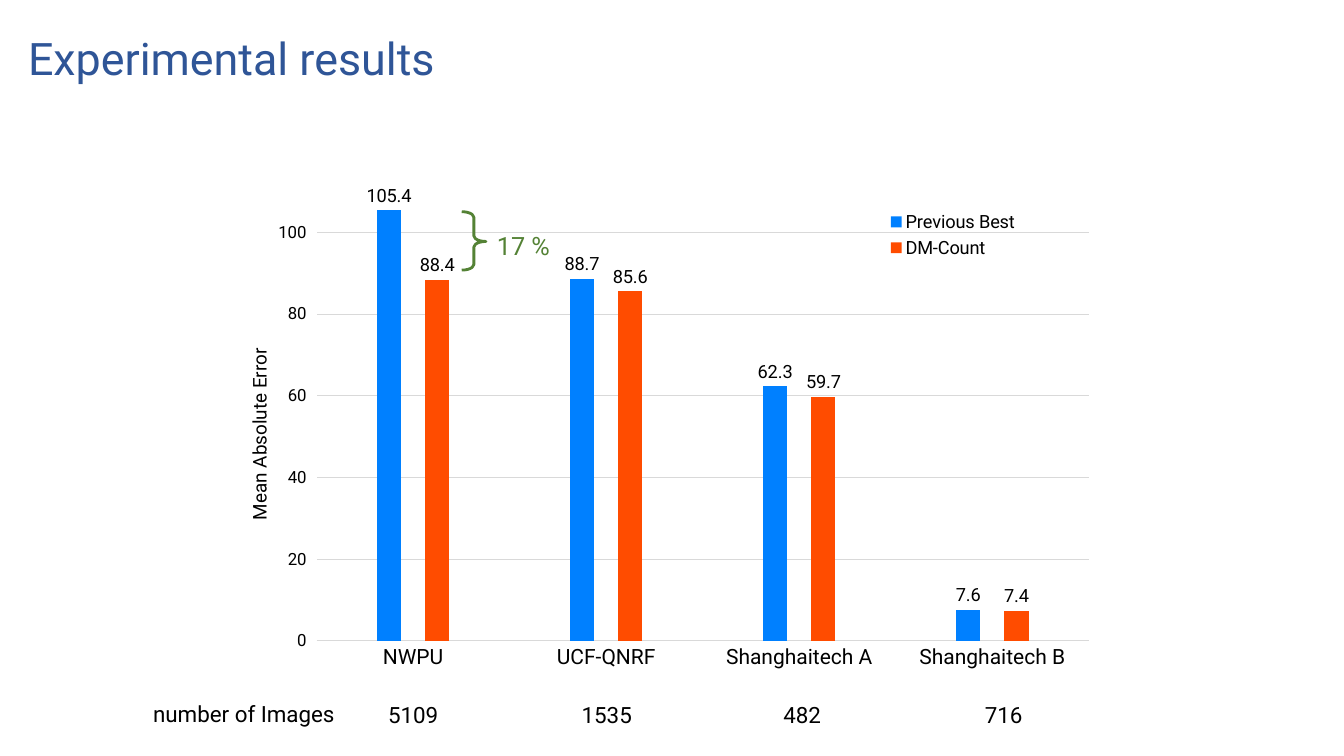
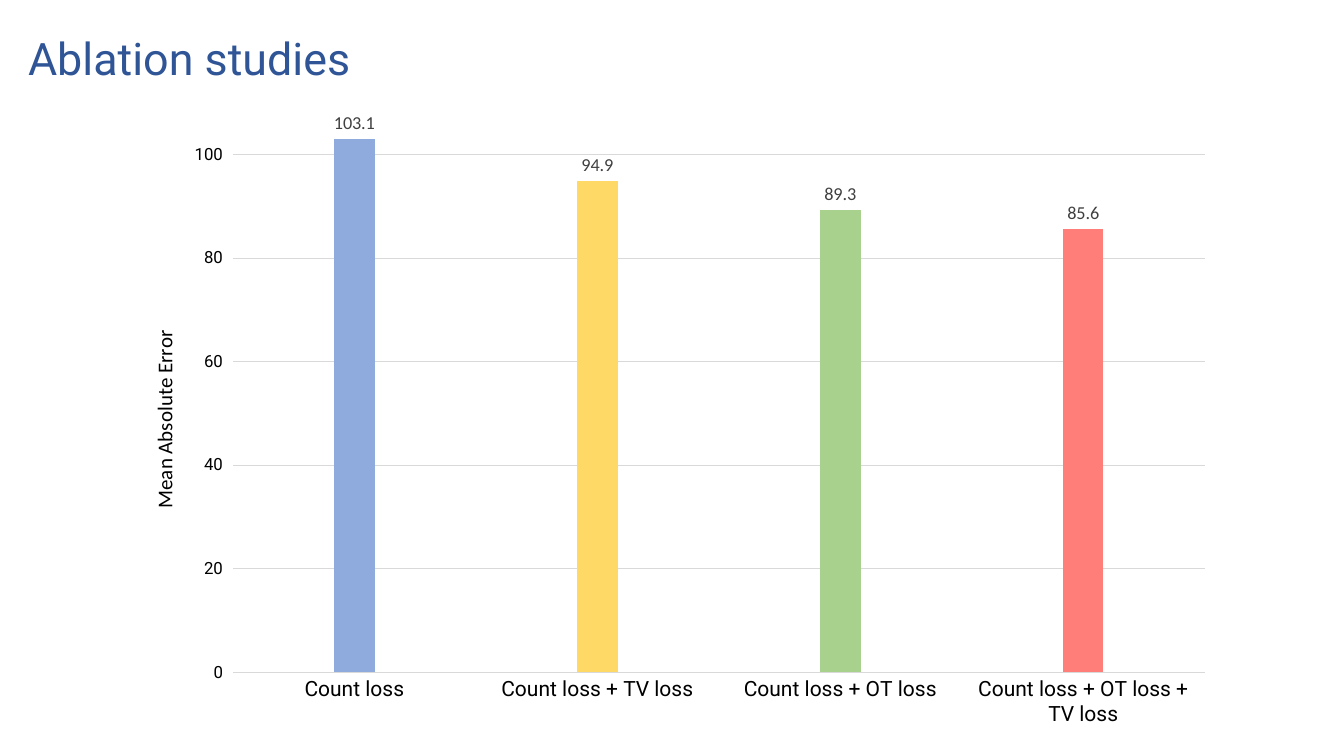
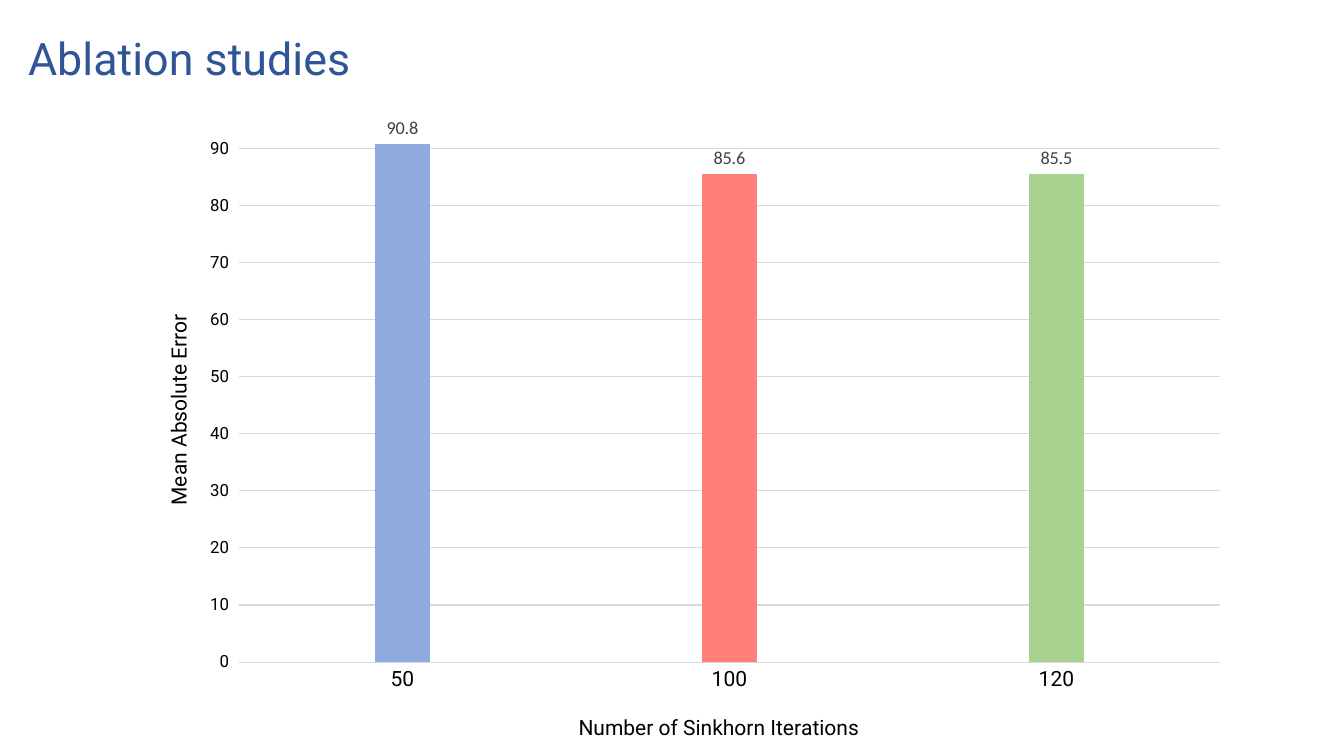
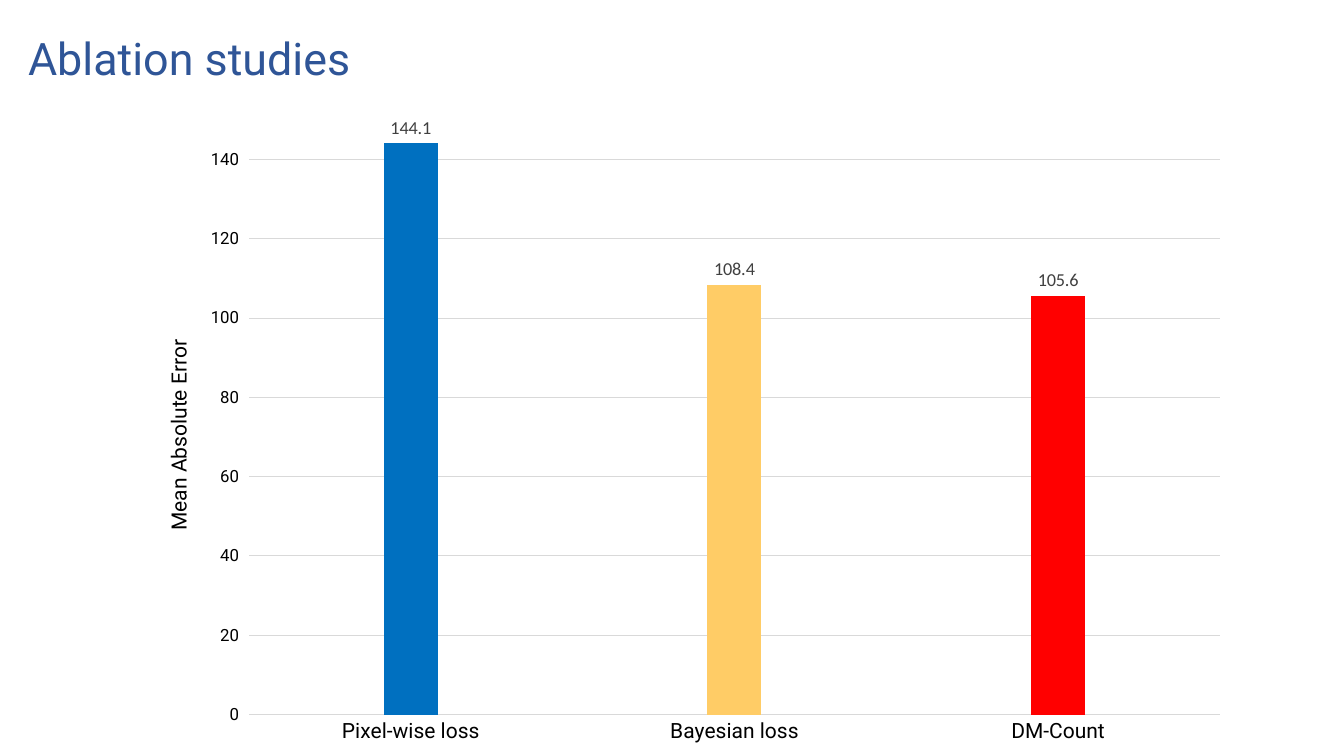
from lxml import etree
from pptx import Presentation
from pptx.chart.data import CategoryChartData
from pptx.dml.color import RGBColor
from pptx.enum import chart as ch, shapes, text
from pptx.oxml.ns import qn
from pptx.util import Inches, Pt

COLORS = {
    "title": "2F5597", "ink": "000000", "label": "404040", "grid": "D9D9D9",
    "gain": "548235", "azure": "0080FF", "orange": "FF4C00", "pale": "8FAADC",
    "yellow": "FFD966", "green": "A9D18E", "coral": "FF7E79", "blue": "0070C0",
    "amber": "FFCC66", "red": "FF0000",
}
ERROR = "Mean Absolute Error"


def color(name):
    return RGBColor.from_string(COLORS[name])


class Deck:
    def __init__(self):
        self.prs = Presentation()
        self.prs.slide_width, self.prs.slide_height = Inches(13.33), Inches(7.5)
        self.slide = None

    def font(self, font, size, tint="ink", face="Roboto"):
        font.name, font.size, font.bold = face, Pt(size), False
        font.color.rgb = color(tint)

    def start(self, title):
        self.slide = self.prs.slides.add_slide(self.prs.slide_layouts[6])
        self.text(title, (0.18, 0.15, 12.93, 0.91), 32, "title",
                  text.MSO_ANCHOR.MIDDLE)

    def text(self, words, box, size=16, tint="ink",
             anchor=text.MSO_ANCHOR.TOP, group=None):
        home = group or self.slide
        frame = home.shapes.add_textbox(*map(Inches, box)).text_frame
        frame.word_wrap, frame.vertical_anchor = True, anchor
        para = frame.paragraphs[0]
        para.text, para.line_spacing = words, 0.9
        self.font(para.font, size, tint)

    def gain(self, words):
        """Brace between two bars, grouped with its label."""
        group = self.slide.shapes.add_group_shape()
        brace = group.shapes.add_shape(
            shapes.MSO_SHAPE.RIGHT_BRACE, *map(Inches, (4.58, 2.1, 0.24, 0.58)))
        brace.adjustments[0], brace.adjustments[1] = 0.23, 0.51
        brace.shadow.inherit = False
        brace.fill.background()
        brace.line.color.rgb, brace.line.width = color("gain"), Pt(2)
        self.text(words, (4.83, 2.27, 0.85, 0.33), 18, "gain", group=group)

    def place(self, part, index, spot, box):
        """Pin a chart part at a spot given in inches on the slide."""
        for old in part.findall(qn("c:layout")):
            part.remove(old)
        layout = etree.Element(qn("c:layout"))
        part.insert(index, layout)
        manual = etree.SubElement(layout, qn("c:manualLayout"))
        left, top, width, height = box
        x, y, *size = spot
        rules = [("xMode", "edge"), ("yMode", "edge"),
                 ("x", (x - left) / width), ("y", (y - top) / height)]
        if index == 0:
            rules.insert(0, ("layoutTarget", "inner"))
        if size:
            rules += [("w", size[0] / width), ("h", size[1] / height)]
        for tag, val in rules:
            etree.SubElement(manual, qn("c:" + tag)).set("val", str(val))

    def name(self, axis, words, spot, box, size=15, face="Roboto"):
        title = axis.axis_title
        para = title.text_frame.paragraphs[0]
        para.text = words
        self.font(para.font, size, face=face)
        self.place(title._element, 1, spot, box)

    def chart(self, box, plot, cats, series, top, step=20, label=("label", "Calibri")):
        """Column chart; series maps a name to its values and bar colours."""
        data = CategoryChartData()
        data.categories = cats
        for key, (vals, _) in series.items():
            data.add_series(key, vals)
        chart = self.slide.shapes.add_chart(
            ch.XL_CHART_TYPE.COLUMN_CLUSTERED, *map(Inches, box), data).chart
        self.font(chart.font, 10, face="Calibri")
        chart.has_title = chart.has_legend = False
        self.place(chart._chartSpace.find(".//" + qn("c:plotArea")), 0, plot, box)

        bars = chart.plots[0]
        bars.gap_width, bars.overlap, bars.vary_by_categories = 500, -100, False
        for ser, (_, tints) in zip(bars.series, series.values()):
            ser.format.fill.solid()
            ser.format.fill.fore_color.rgb = color(tints[0])
            for i, tint in enumerate(tints[1:], 1):
                fill = ser.points[i].format.fill
                fill.solid()
                fill.fore_color.rgb = color(tint)
            tags = ser.data_labels
            tags.show_value = True
            tags.position = ch.XL_LABEL_POSITION.OUTSIDE_END
            self.font(tags.font, 13, *label)

        cat, val = chart.category_axis, chart.value_axis
        cat.major_tick_mark = ch.XL_TICK_MARK.NONE
        val.major_tick_mark = ch.XL_TICK_MARK.OUTSIDE
        val.minimum_scale, val.maximum_scale, val.major_unit = 0, top, step
        val.has_major_gridlines = True
        val.format.line.fill.background()
        for line in (cat.format.line, val.major_gridlines.format.line):
            line.color.rgb, line.width = color("grid"), Pt(0.75)
        self.font(cat.tick_labels.font, 15)
        self.font(val.tick_labels.font, 12)
        return chart

    def legend(self, chart, spot, box):
        chart.has_legend = True
        key = chart.legend
        key.position, key.include_in_layout = ch.XL_LEGEND_POSITION.TOP, False
        self.font(key.font, 13)
        self.place(key._element, 1, spot, box)


def results(deck):
    deck.start("Experimental results")
    box = (2.34, 1.81, 8.62, 4.96)
    chart = deck.chart(
        box, (3.14, 1.9, 7.66, 4.46),
        ["NWPU", "UCF-QNRF", "Shanghaitech A", "Shanghaitech B"],
        {"Previous Best": ([105.4, 88.7, 62.3, 7.6], ["azure"]),
         "DM-Count": ([88.4, 85.6, 59.7, 7.4], ["orange"])},
        110, label=("ink", "Roboto"))
    deck.name(chart.value_axis, ERROR, (2.41, 3.42), box, 13.5)
    deck.legend(chart, (8.75, 2.05, 1.4, 0.56), box)
    deck.text("number of Images", (1.42, 6.93, 2.18, 0.31))
    for count, left in (("5109", 3.75), ("1535", 5.67), ("482", 7.67), ("716", 9.67)):
        deck.text(count, (left, 6.94, 0.89, 0.31))
    deck.gain("17 %")


def losses(deck):
    deck.start("Ablation studies")
    box = (1.16, 0.9, 11.01, 6.45)
    chart = deck.chart(
        box, (2.31, 1.02, 9.64, 5.65),
        ["Count loss", "Count loss + TV loss", "Count loss + OT loss",
         "Count loss + OT loss + TV loss"],
        {"Series 1": ([103.1, 94.9, 89.3, 85.6],
                      ["pale", "yellow", "green", "coral"])}, 110)
    deck.name(chart.value_axis, ERROR, (1.45, 3.24), box, face="Calibri")


def rounds(deck):
    deck.start("Ablation studies")
    box = (1.32, 1.06, 11.01, 6.45)
    chart = deck.chart(
        box, (2.37, 1.19, 9.73, 5.38), ["50", "100", "120"],
        {"Series 1": ([90.8, 85.6, 85.5], ["pale", "coral", "green"])}, 95, 10)
    deck.name(chart.value_axis, ERROR, (1.59, 3.08), box)
    deck.name(chart.category_axis, "Number of Sinkhorn Iterations", (5.7, 7.04), box)


def rivals(deck):
    deck.start("Ablation studies")
    box = (1.32, 1.06, 11.01, 6.45)
    chart = deck.chart(
        box, (2.47, 1.19, 9.63, 5.9),
        ["Pixel-wise loss", "Bayesian loss", "DM-Count"],
        {"Series 1": ([144.1, 108.4, 105.6], ["blue", "amber", "red"])}, 150)
    deck.name(chart.value_axis, ERROR, (1.59, 3.33), box)


def main():
    deck = Deck()
    for build in (results, losses, rounds, rivals):
        build(deck)
    deck.prs.save("out.pptx")


if __name__ == "__main__":
    main()
